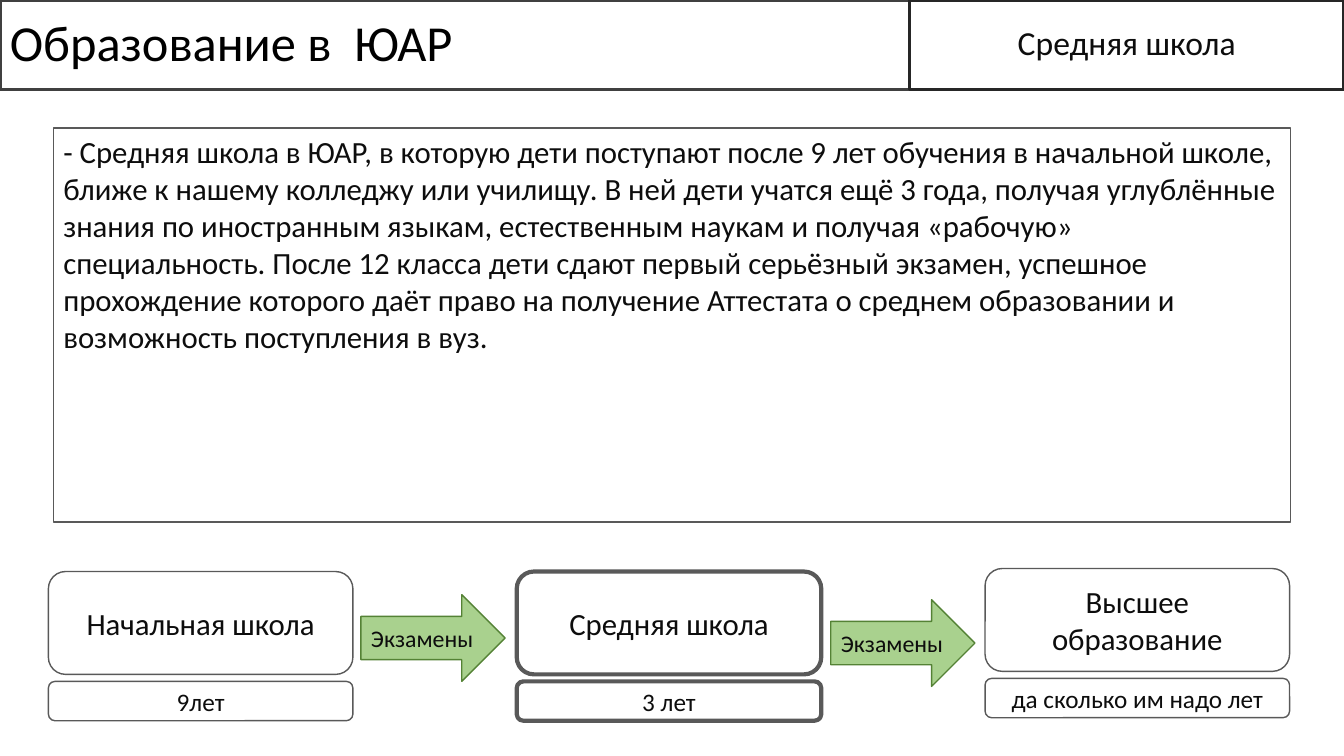
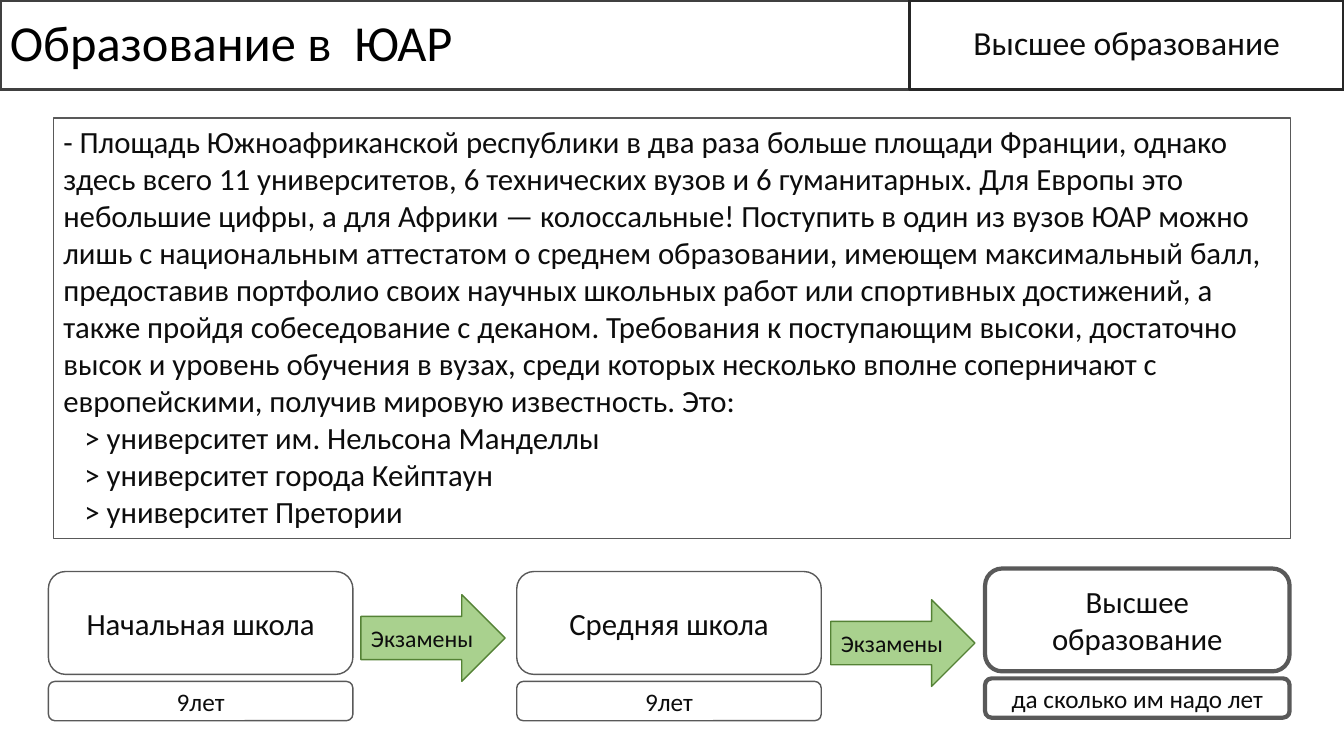
from pptx import Presentation
from pptx.dml.color import RGBColor
from pptx.enum.shapes import MSO_SHAPE
from pptx.enum.text import MSO_ANCHOR, PP_ALIGN
from pptx.util import Inches, Pt

WHITE = RGBColor(0xFF, 0xFF, 0xFF)
BLACK = RGBColor(0x00, 0x00, 0x00)
INK = RGBColor(0x0D, 0x0D, 0x0D)
COAL = RGBColor(0x26, 0x26, 0x26)
SLATE = RGBColor(0x40, 0x40, 0x40)
GREY = RGBColor(0x59, 0x59, 0x59)
LEAF = RGBColor(0xA9, 0xD1, 0x8E)
MOSS = RGBColor(0x54, 0x82, 0x35)

FONT = "Calibri"
WIDE, HIGH = 13.33, 7.5
SPLIT, BAND = 9.02, 0.89
LEFT, PITCH, STEP_W = 0.48, 4.645, 3.02
INDENT = 0.21

TITLE = "Образование в  ЮАР"
EXAM = "Экзамены"
STEPS = ["Начальная школа", "Средняя школа", "Высшее образование"]
TOPS = [5.67, 5.67, 5.64]

SLIDES = [
    {
        "step": 1,
        "top": 1.27,
        "high": 3.91,
        "text": "- Средняя школа в ЮАР, в которую дети поступают после 9 лет обучения "
                "в начальной школе, ближе к нашему колледжу или училищу. В ней дети "
                "учатся ещё 3 года, получая углублённые знания по иностранным языкам, "
                "естественным наукам и получая «рабочую» специальность. После 12 класса "
                "дети сдают первый серьёзный экзамен, успешное прохождение которого "
                "даёт право на получение Аттестата о среднем образовании и возможность "
                "поступления в вуз.",
        "items": [],
        "years": ["9лет", "3 лет", "да сколько им надо лет"],
    },
    {
        "step": 2,
        "top": 1.17,
        "high": 4.17,
        "text": "- Площадь Южноафриканской республики в два раза больше площади Франции, "
                "однако здесь всего 11 университетов, 6 технических вузов и 6 "
                "гуманитарных. Для Европы это небольшие цифры, а для Африки — "
                "колоссальные! Поступить в один из вузов ЮАР можно лишь с национальным "
                "аттестатом о среднем образовании, имеющем максимальный балл, "
                "предоставив портфолио своих научных школьных работ или спортивных "
                "достижений, а также пройдя собеседование с деканом. Требования к "
                "поступающим высоки, достаточно высок и уровень обучения в вузах, среди "
                "которых несколько вполне соперничают с европейскими, получив мировую "
                "известность. Это:",
        "items": [
            "> университет им. Нельсона Манделлы",
            "> университет города Кейптаун",
            "> университет Претории",
        ],
        "years": ["9лет", "9лет", "да сколько им надо лет"],
    },
]


def write(para, text, size, color=INK, align=PP_ALIGN.CENTER, lead=None):
    para.alignment = align
    if lead:
        para.line_spacing = lead
    run = para.add_run()
    run.text = text
    run.font.name = FONT
    run.font.size = Pt(size)
    run.font.color.rgb = color


def draw(slide, kind, place, line=GREY, width=1, fill=WHITE):
    shape = slide.shapes.add_shape(kind, *map(Inches, place))
    shape.shadow.inherit = False
    shape.fill.solid()
    shape.fill.fore_color.rgb = fill
    shape.line.color.rgb = line
    shape.line.width = Pt(width)
    frame = shape.text_frame
    frame.word_wrap = True
    frame.vertical_anchor = MSO_ANCHOR.MIDDLE
    return frame


def head(slide, topic):
    frame = draw(slide, MSO_SHAPE.RECTANGLE, (0, 0, SPLIT, BAND), SLATE, 2.25)
    write(frame.paragraphs[0], TITLE, 36, BLACK, PP_ALIGN.LEFT, 0.9)
    frame = draw(slide, MSO_SHAPE.RECTANGLE, (SPLIT, 0, WIDE - SPLIT, BAND), COAL, 2.25)
    write(frame.paragraphs[0], topic, 24, lead=0.9)


def body(slide, page):
    place = (0.53, page["top"], 12.27, page["high"])
    frame = draw(slide, MSO_SHAPE.RECTANGLE, place)
    frame.vertical_anchor = MSO_ANCHOR.TOP
    write(frame.paragraphs[0], page["text"], 22, align=PP_ALIGN.LEFT)
    for item in page["items"]:
        para = frame.add_paragraph()
        para._p.get_or_add_pPr().set("marL", str(Inches(INDENT)))
        write(para, item, 22, align=PP_ALIGN.LEFT)


def chain(slide, page):
    for i, (step, years, top) in enumerate(zip(STEPS, page["years"], TOPS)):
        x = LEFT + i * PITCH
        width = 3 if i == page["step"] else 1
        for text, y, high, size in ((step, top, 1.02, 22), (years, top + 1.09, 0.39, 18)):
            place = (x, y, STEP_W, high)
            frame = draw(slide, MSO_SHAPE.ROUNDED_RECTANGLE, place, width=width)
            write(frame.paragraphs[0], text, size)
    for i in range(len(STEPS) - 1):
        place = (3.58 + i * 4.66, 5.9 + i * 0.05, 1.43, 0.86)
        frame = draw(slide, MSO_SHAPE.RIGHT_ARROW, place, MOSS, 1, LEAF)
        frame.word_wrap = False
        write(frame.paragraphs[0], EXAM, 17)


def main():
    deck = Presentation()
    deck.slide_width, deck.slide_height = Inches(WIDE), Inches(HIGH)
    for page in SLIDES:
        slide = deck.slides.add_slide(deck.slide_layouts[6])
        head(slide, STEPS[page["step"]])
        body(slide, page)
        chain(slide, page)
    deck.save("out.pptx")


if __name__ == "__main__":
    main()
